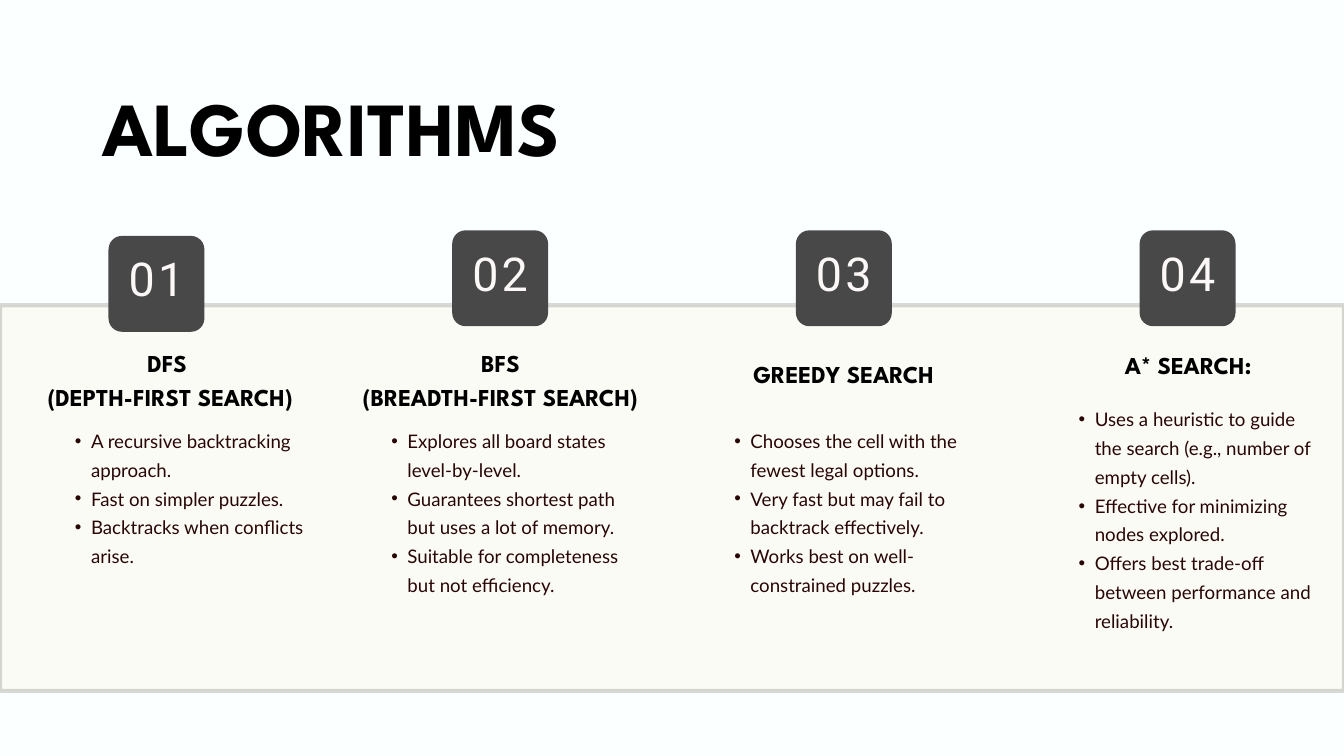
"""Build the slide that compares four search algorithms."""
from dataclasses import dataclass

from lxml import etree
from pptx import Presentation
from pptx import util as u
from pptx.dml.color import RGBColor
from pptx.enum import shapes, text
from pptx.oxml.ns import qn

PX = 9525


@dataclass(frozen=True)
class Theme:
    back: str = "FCFFFF"
    panel: str = "FAE7BC"
    black: str = "000000"
    tile: str = "494848"
    light: str = "FDF8F8"
    body: str = "290606"
    alpha: int = 15
    edge: float = 4.5
    title: tuple = ("League Spartan", 81.9, 114.7, True)
    head: tuple = ("League Spartan", 26, 36.4, True)
    num: tuple = ("Roboto", 50, 51.5, False)
    item: tuple = ("Lato", 20, 30.8, False)


class Deck:
    def __init__(self, theme):
        self.theme = theme
        self.prs = Presentation()
        self.prs.slide_width, self.prs.slide_height = 1920 * PX, 1080 * PX
        self.slide = self.prs.slides.add_slide(self.prs.slide_layouts[6])
        self.paint(self.slide.background.fill, theme.back)

    def paint(self, fill, color):
        fill.solid()
        fill.fore_color.rgb = RGBColor.from_string(color)

    def fade(self, shape):
        for clr in shape._element.spPr.iter(qn("a:srgbClr")):
            etree.SubElement(clr, qn("a:alpha"), val=str(self.theme.alpha * 1000))

    def shape(self, kind, box, color):
        shape = self.slide.shapes.add_shape(kind, *(n * PX for n in box))
        shape.shadow.inherit = False
        self.paint(shape.fill, color)
        return shape

    def panel(self, box):
        shape = self.shape(shapes.MSO_SHAPE.RECTANGLE, box, self.theme.panel)
        self.paint(shape.line.fill, self.theme.black)
        shape.line.width = u.Pt(self.theme.edge)
        self.fade(shape)

    def tile(self, box, label):
        shape = self.shape(shapes.MSO_SHAPE.ROUNDED_RECTANGLE, box, self.theme.tile)
        shape.adjustments[0] = 0.14
        shape.line.fill.background()
        frame = shape.text_frame
        self.inset(frame, 6, 1, 6, 6)
        frame.vertical_anchor = text.MSO_ANCHOR.MIDDLE
        para = frame.paragraphs[0]
        self.put(para, label, self.theme.num, self.theme.light)
        para._p.pPr.find(qn("a:defRPr")).set("spc", "350")

    def inset(self, frame, left, top, right, bottom):
        frame.margin_left, frame.margin_top = left * PX, top * PX
        frame.margin_right, frame.margin_bottom = right * PX, bottom * PX

    def put(self, para, words, style, color, align=text.PP_ALIGN.CENTER):
        name, size, lead, bold = style
        para.text = words
        para.alignment = align
        para.line_spacing = u.Pt(lead)
        font = para.font
        font.name, font.size, font.bold = name, u.Pt(size), bold
        font.color.rgb = RGBColor.from_string(color)

    def paras(self, box, lines):
        frame = self.slide.shapes.add_textbox(*(n * PX for n in box)).text_frame
        frame.word_wrap = True
        frame.auto_size = text.MSO_AUTO_SIZE.SHAPE_TO_FIT_TEXT
        self.inset(frame, 0, 0, 0, 0)
        for i, line in enumerate(lines):
            yield (frame.add_paragraph() if i else frame.paragraphs[0]), line

    def label(self, box, lines, style):
        for para, line in self.paras(box, lines):
            self.put(para, line, style, self.theme.black)

    def bullets(self, box, lines):
        for para, line in self.paras(box, lines):
            para.level = 1
            props = para._p.get_or_add_pPr()
            props.set("marL", str(45 * PX))
            props.set("indent", str(-23 * PX))
            etree.SubElement(props, qn("a:buFont"), typeface="Arial")
            etree.SubElement(props, qn("a:buChar"), char="•")
            self.put(para, line, self.theme.item, self.theme.body, text.PP_ALIGN.LEFT)


COLS = [
    (337, (14, 491, 459, 94), ["DFS ", "(DEPTH-FIRST SEARCH)"], (85, 605, 356, 288), [
        "A recursive backtracking approach.",
        "Fast on simpler puzzles.",
        "Backtracks when conflicts arise.",
    ]),
    (329, (509, 491, 412, 94), ["BFS", "(BREADTH-FIRST SEARCH)"], (537, 605, 356, 370), [
        "Explores all board states level-by-level.",
        "Guarantees shortest path but uses a lot of memory.",
        "Suitable for completeness but not efficiency.",
    ]),
    (329, (1044, 506, 323, 46), ["GREEDY SEARCH"], (1027, 605, 356, 288), [
        "Chooses the cell with the fewest legal options.",
        "Very fast but may fail to backtrack effectively.",
        "Works best on well-constrained puzzles.",
    ]),
    (329, (1536, 494, 323, 46), ["A* SEARCH:"], (1519, 574, 356, 370), [
        "Uses a heuristic to guide the search (e.g., number of empty cells).",
        "Effective for minimizing nodes explored.",
        "Offers best trade-off between performance and reliability.",
    ]),
]


def main():
    theme = Theme()
    deck = Deck(theme)
    deck.panel((0, 436, 1920, 551))
    deck.label((111, 92, 725, 147), ["ALGORITHMS"], theme.title)
    for i, (top, head, name, spot, items) in enumerate(COLS):
        deck.tile((155 + 491 * i, top, 137, 137), f"{i + 1:02}")
        deck.label(head, name, theme.head)
        deck.bullets(spot, items)
    deck.prs.save("out.pptx")


if __name__ == "__main__":
    main()
